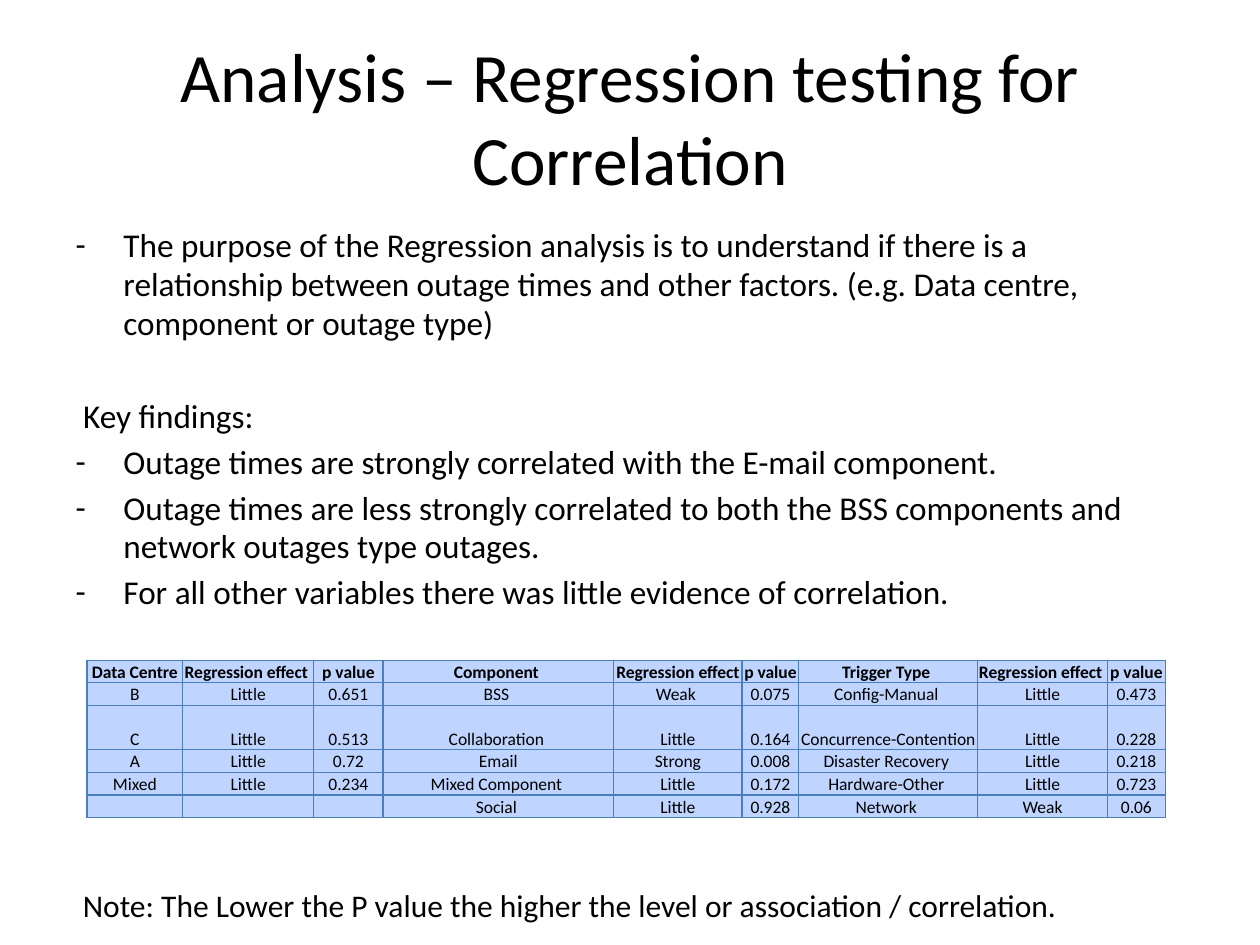
"""Build the slide on regression testing for correlation."""
from dataclasses import dataclass

from lxml.etree import SubElement as Sub
from pptx import Presentation
from pptx.dml.color import RGBColor
from pptx.enum.text import MSO_ANCHOR as Anchor, MSO_AUTO_SIZE as Fit, PP_ALIGN as Align
from pptx.oxml.ns import qn
from pptx.util import Inches, Pt

BLACK = RGBColor(0x00, 0x00, 0x00)
PALE = RGBColor(0xBF, 0xD4, 0xFF)
BLUE = RGBColor(0x4B, 0x7E, 0xBC)
FONT = "Calibri"


@dataclass
class Point:
    text: str
    dash: bool = True
    gap: float = 4.2


POINTS = [
    Point("The purpose of the Regression analysis is to understand if there is a relationship "
          "between outage times and other factors. (e.g. Data centre, component or outage type)"),
    Point("Key findings:", dash=False, gap=31),
    Point("Outage times are strongly correlated with the E-mail component."),
    Point("Outage times are less strongly correlated to both the BSS components "
          "and network outages type outages."),
    Point("For all other variables there was little evidence of correlation."),
]
COLS = [0.76, 1.04, 0.55, 1.83, 1.02, 0.45, 1.42, 1.03, 0.46]
ROWS = [0.18, 0.18, 0.35, 0.18, 0.18, 0.18]
CELLS = [
    ["Data Centre", "Regression effect ", "p value", "Component ", "Regression effect ",
     "p value", "Trigger Type ", "Regression effect ", "p value"],
    ["B", "Little", "0.651", "BSS ", "Weak ", "0.075", "Config-Manual ", "Little", "0.473"],
    ["C", "Little", "0.513", "Collaboration ", "Little", "0.164",
     "Concurrence-Contention ", "Little", "0.228"],
    ["A", "Little", "0.72", "Email", "Strong", "0.008", "Disaster Recovery ", "Little", "0.218"],
    ["Mixed", "Little", "0.234", "Mixed Component ", "Little", "0.172",
     "Hardware-Other ", "Little", "0.723"],
    ["", "", "", "Social ", "Little", "0.928", "Network ", "Weak", "0.06"],
]


def write(para, text: str, *, size: float, bold: bool = False, align=Align.LEFT) -> None:
    """Put formatted text in a paragraph."""
    para.alignment = align
    if not text:
        Sub(para._p, qn("a:endParaRPr"), sz=str(round(size * 100)))
        return
    run = para.add_run()
    run.text = text
    font = run.font
    font.name, font.size, font.bold = FONT, Pt(size), bold
    font.color.rgb = BLACK


def place(shape, left: float, top: float, width: float, height: float) -> None:
    """Set the position and size of a shape."""
    shape.left, shape.top = Inches(left), Inches(top)
    shape.width, shape.height = Inches(width), Inches(height)


def list_point(para, point: Point) -> None:
    """Write one body point, with a hanging dash if it has one."""
    write(para, point.text, size=19)
    para.space_before = Pt(point.gap)
    para.line_spacing = 0.97
    props = para._p.get_or_add_pPr()
    props.set("marL", str(Inches(0.38 if point.dash else 0.06)))
    props.set("indent", str(Inches(-0.38 if point.dash else 0)))
    if point.dash:
        Sub(props, qn("a:buFont"), typeface=FONT)
        Sub(props, qn("a:buChar"), char="-")
    else:
        Sub(props, qn("a:buNone"))


def fill_cell(cell, text: str, bold: bool) -> None:
    """Write, frame and fill one table cell."""
    cell.margin_left = cell.margin_right = cell.margin_top = Inches(0.01)
    cell.margin_bottom = 0
    cell.vertical_anchor = Anchor.BOTTOM
    write(cell.text_frame.paragraphs[0], text, size=10, bold=bold, align=Align.CENTER)
    props = cell._tc.get_or_add_tcPr()
    for side in ("lnL", "lnR", "lnT", "lnB"):
        line = Sub(props, qn(f"a:{side}"), w=str(Pt(0.75)))
        Sub(Sub(line, qn("a:solidFill")), qn("a:srgbClr"), val=str(BLUE))
    cell.fill.solid()
    cell.fill.fore_color.rgb = PALE


def add_grid(slide) -> None:
    """Add the table of regression results."""
    frame = slide.shapes.add_table(len(ROWS), len(COLS), Inches(0.69), Inches(5.24),
                                   Inches(sum(COLS)), Inches(sum(ROWS)))
    grid = frame.table
    grid.first_row = grid.horz_banding = False
    for col, width in zip(grid.columns, COLS):
        col.width = Inches(width)
    for index, (row, height) in enumerate(zip(grid.rows, ROWS)):
        row.height = Inches(height)
        for cell, text in zip(row.cells, CELLS[index]):
            fill_cell(cell, text, bold=index == 0)


def main() -> None:
    """Build and save the slide."""
    deck = Presentation()
    deck.slide_width, deck.slide_height = Inches(10), Inches(7.5)
    slide = deck.slides.add_slide(deck.slide_layouts[1])

    title, body = slide.placeholders
    place(title, 0.5, 0.3, 9, 1.25)
    place(body, 0.5, 1.75, 9, 4.96)
    for shape in (title, body):
        shape.text_frame.auto_size = Fit.NONE
    title.text_frame.vertical_anchor = Anchor.MIDDLE
    write(title.text_frame.paragraphs[0], "Analysis – Regression testing for Correlation",
          size=39.6, align=Align.CENTER)
    for index, point in enumerate(POINTS):
        frame = body.text_frame
        list_point(frame.add_paragraph() if index else frame.paragraphs[0], point)

    add_grid(slide)

    note = slide.shapes.add_textbox(Inches(0.56), Inches(6.98), Inches(8.87), Inches(0.4))
    note.text_frame.word_wrap = True
    note.text_frame.auto_size = Fit.SHAPE_TO_FIT_TEXT
    write(note.text_frame.paragraphs[0],
          "Note: The Lower the P value the higher the level or association / correlation.",
          size=18)
    deck.save("out.pptx")


if __name__ == "__main__":
    main()
